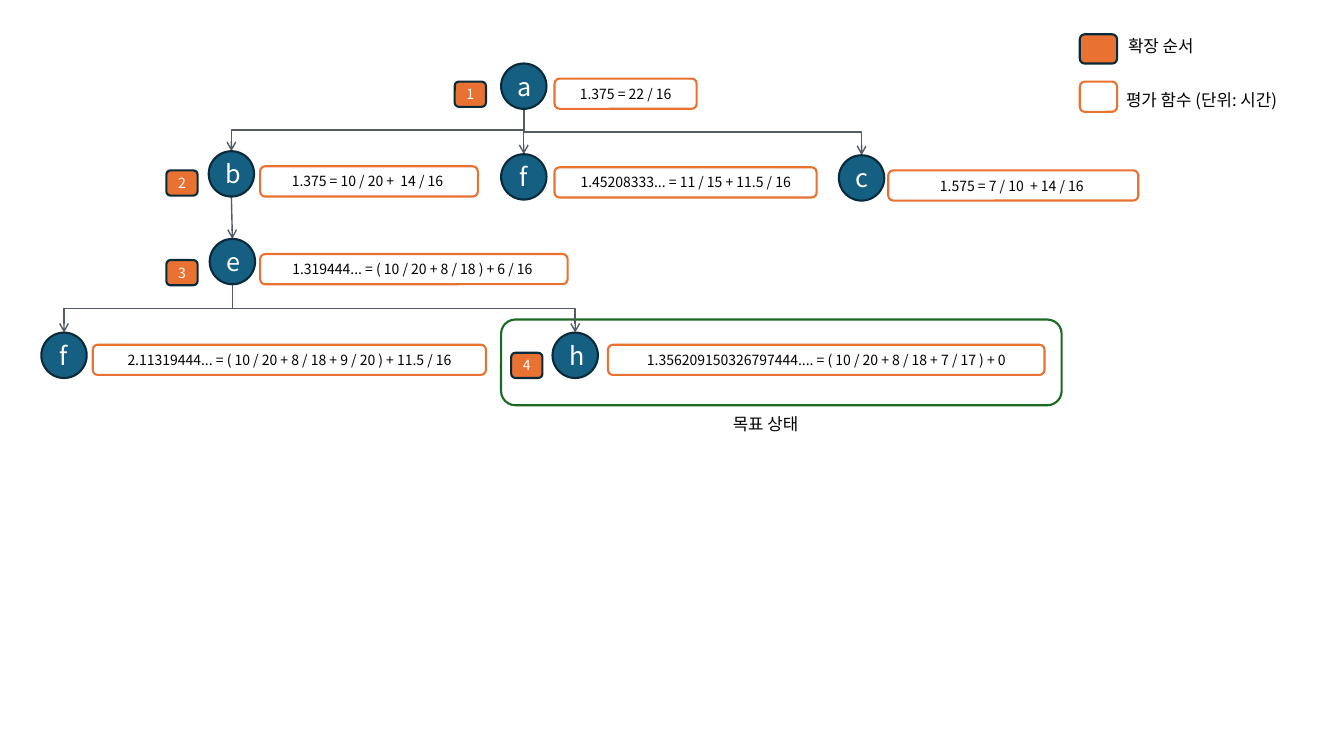
from lxml.etree import SubElement
from pptx import Presentation
from pptx.dml.color import RGBColor
from pptx.enum.shapes import MSO_CONNECTOR, MSO_SHAPE
from pptx.enum.text import MSO_ANCHOR, PP_ALIGN
from pptx.oxml.ns import qn
from pptx.util import Inches, Pt

FONT = "Noto Sans CJK KR"
TEAL, NAVY, ORANGE, GREEN, GRAY = "156082", "092A39", "E97132", "196B24", "545B64"
WHITE, BLACK = "FFFFFF", "000000"
NODE, BADGE_W, BADGE_H, BOX_H = 0.45, 0.31, 0.25, 0.3

# key: letter, left, top
NODES = {
    "a": ("a", 4.97, 0.63),
    "b": ("b", 2.07, 1.5),
    "f1": ("f", 4.97, 1.53),
    "c": ("c", 8.32, 1.54),
    "e": ("e", 2.08, 2.37),
    "f2": ("f", 0.41, 3.3),
    "h": ("h", 5.48, 3.3),
}
EDGES = [("a", "b"), ("a", "f1"), ("a", "c"), ("b", "e"), ("e", "f2"), ("e", "h")]
# text, left, top, width
FORMULAS = [
    ("1.375 = 22 / 16", 5.5, 0.78, 1.41),
    ("1.375 = 10 / 20 +  14 / 16 ", 2.58, 1.65, 2.16),
    ("1.45208333... = 11 / 15 + 11.5 / 16", 5.5, 1.66, 2.6),
    ("1.575 = 7 / 10  + 14 / 16 ", 8.81, 1.69, 2.48),
    ("1.319444... = ( 10 / 20 + 8 / 18 ) + 6 / 16 ", 2.58, 2.52, 3.05),
    ("2.11319444... = ( 10 / 20 + 8 / 18 + 9 / 20 ) + 11.5 / 16", 0.92, 3.42, 3.9),
    ("1.356209150326797444.... = ( 10 / 20 + 8 / 18 + 7 / 17 ) + 0", 6.03, 3.42, 4.33),
]
ORDER = [(4.51, 0.81), (1.65, 1.69), (1.65, 2.58), (5.07, 3.5)]
GOAL = (4.97, 3.17, 5.56, 0.85)
LEGEND = [((10.71, 0.34, 0.37, 0.29), ORANGE, NAVY),
          ((10.71, 0.81, 0.37, 0.3), None, ORANGE)]
# text, left, top, width
LABELS = [
    ("확장 순서", 11.09, 0.31, 0.93),
    ("평가 함수 (단위: 시간)", 11.07, 0.84, 1.87),
    ("목표 상태", 7.17, 4.06, 0.93),
]


def rgb(color):
    return RGBColor.from_string(color)


def write(shape, text, size, color, align, anchor):
    tf = shape.text_frame
    tf.word_wrap = True
    tf.vertical_anchor = anchor
    p = tf.paragraphs[0]
    p.alignment = align
    r = p.add_run()
    r.text = text
    for name, value in {"name": FONT, "size": Pt(size)}.items():
        setattr(r.font, name, value)
    r.font.color.rgb = rgb(color)
    SubElement(r.font._element, qn("a:ea"), typeface=FONT)


def add_shape(kind, box, fill, line, text="", size=10, color=BLACK):
    sp = s.shapes.add_shape(kind, *map(Inches, box))
    sp.shadow.inherit = False
    if fill:
        sp.fill.solid()
        sp.fill.fore_color.rgb = rgb(fill)
    else:
        sp.fill.background()
    sp.line.color.rgb = rgb(line)
    sp.line.width = Pt(1.5)
    if text:
        write(sp, text, size, color, PP_ALIGN.CENTER, MSO_ANCHOR.MIDDLE)


def add_edge(parent, child):
    """Arrow from the foot of one node to the top of another, bent unless nearly vertical."""
    (_, x1, y1), (_, x2, y2) = NODES[parent], NODES[child]
    x1, x2, y1 = x1 + NODE / 2, x2 + NODE / 2, y1 + NODE
    dx, dy = x2 - x1, y2 - y1
    if abs(dx) < 0.1:
        c = s.shapes.add_connector(MSO_CONNECTOR.STRAIGHT, *map(Inches, (x1, y1, x2, y2)))
    else:
        # The bent preset runs sideways, so it is turned about its centre to run downwards.
        mid_x, mid_y, half = (x1 + x2) / 2, (y1 + y2) / 2, abs(dx) / 2
        c = s.shapes.add_connector(MSO_CONNECTOR.ELBOW, *map(Inches, (
            mid_x - dy / 2, mid_y - half, mid_x + dy / 2, mid_y + half)))
        xfrm = c._element.spPr.find(qn("a:xfrm"))
        xfrm.set("rot", str((90 if dx < 0 else 270) * 60000))
        if dx > 0:
            xfrm.set("flipH", "1")
    c.line.color.rgb = rgb(GRAY)
    c.line.width = Pt(1)
    SubElement(c.line._get_or_add_ln(), qn("a:tailEnd"), type="arrow")
    SubElement(c._element.spPr, qn("a:effectLst"))


prs = Presentation()
prs.slide_width, prs.slide_height = Inches(13.33), Inches(7.5)
s = prs.slides.add_slide(prs.slide_layouts[6])

add_shape(MSO_SHAPE.ROUNDED_RECTANGLE, GOAL, None, GREEN)
for edge in EDGES:
    add_edge(*edge)
for letter, x, y in NODES.values():
    add_shape(MSO_SHAPE.OVAL, (x, y, NODE, NODE), TEAL, NAVY, letter, 18, WHITE)
for text, x, y, w in FORMULAS:
    add_shape(MSO_SHAPE.ROUNDED_RECTANGLE, (x, y, w, BOX_H), None, ORANGE, text)
for number, (x, y) in enumerate(ORDER, 1):
    add_shape(MSO_SHAPE.ROUNDED_RECTANGLE, (x, y, BADGE_W, BADGE_H), ORANGE, NAVY,
              str(number), color=WHITE)
for box, fill, line in LEGEND:
    add_shape(MSO_SHAPE.ROUNDED_RECTANGLE, box, fill, line)
for text, x, y, w in LABELS:
    label = s.shapes.add_textbox(*map(Inches, (x, y, w, BOX_H)))
    write(label, text, 12, BLACK, PP_ALIGN.LEFT, MSO_ANCHOR.TOP)

prs.save("out.pptx")
